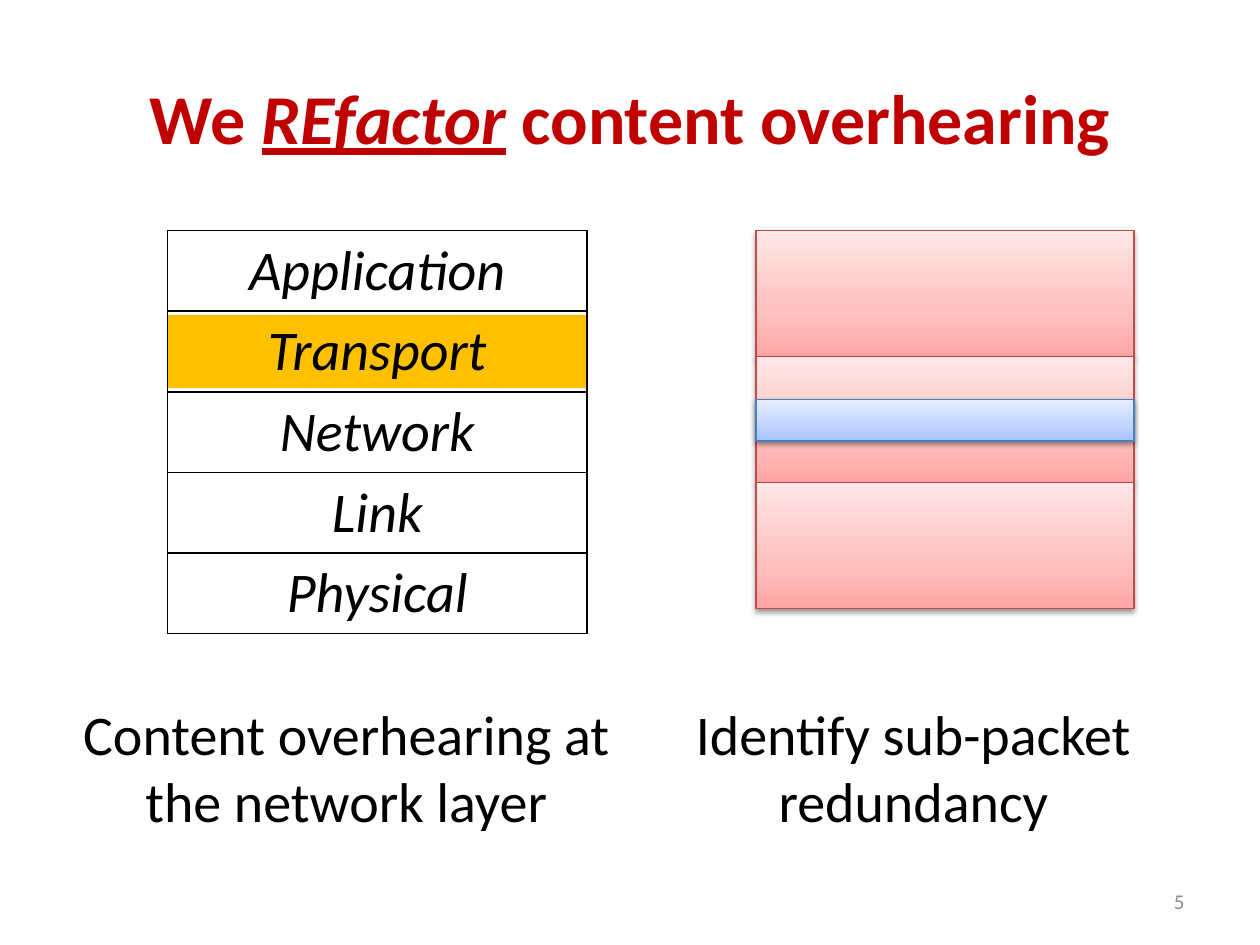
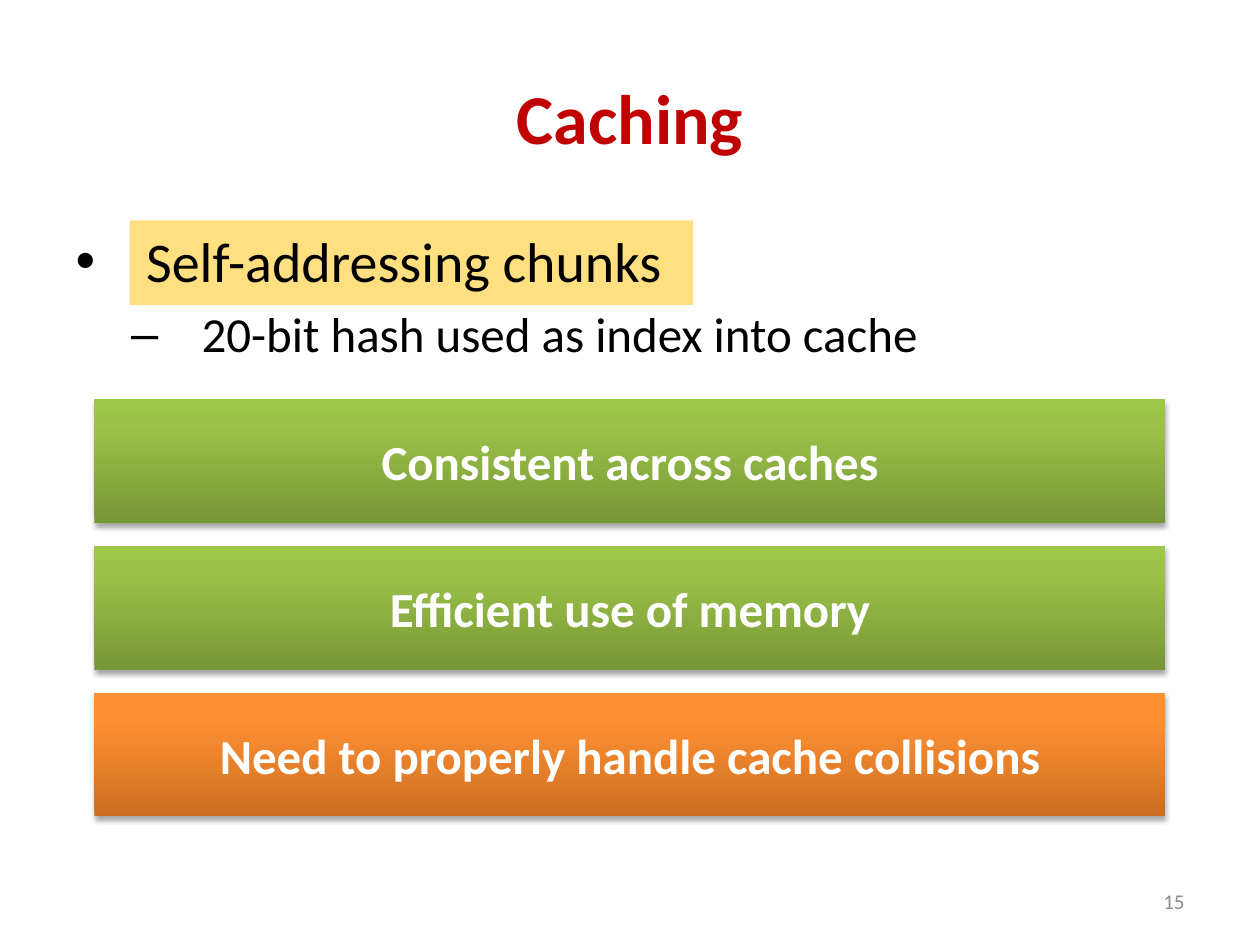
from lxml.etree import SubElement
from pptx import Presentation
from pptx.dml.color import RGBColor
from pptx.enum.shapes import MSO_SHAPE
from pptx.enum.text import MSO_ANCHOR, MSO_AUTO_SIZE, PP_ALIGN
from pptx.oxml.ns import qn
from pptx.util import Inches, Pt

# Shared style
FONT = "Calibri"
COLORS = {
    "title": "C00000", "text": "000000", "number": "8C8C8C",
    "white": "FFFFFF", "highlight": "FFC000",
    "red line": "BF4C48", "blue line": "4B7EBC",
}
GRADIENTS = {  # (position in percent, colour), from bottom to top
    "red": [(0, "FFA6A5"), (35, "FFC0BF"), (100, "FFE7E7")],
    "blue": [(0, "A4C4FF"), (35, "BFD4FF"), (100, "E6EEFF")],
    "green": [(0, "779737"), (80, "9BC348"), (100, "9DC746")],
    "orange": [(0, "CC6E20"), (80, "FF9034"), (100, "FF9136")],
}
TITLE_BOX = (0.5, 0.3, 9, 1.25)
NUMBER_BOX = (7.17, 6.95, 2.33, 0.4)
TITLE_AND_CONTENT, TWO_CONTENT = 1, 3

# Content: (text, emphasised) runs for titles
OVERHEARING_TITLE = [("We ", False), ("REfactor", True), (" content overhearing", False)]
LAYERS = ["Application", "Transport", "Network", "Link", "Physical"]
CAPTIONS = ["Content overhearing at the network layer", "Identify sub-packet redundancy"]
PACKET_COUNT = 3

CACHING_TITLE = [("Caching", False)]
CACHING_BULLETS = [  # text, level, size, left indent
    ("Self-addressing chunks", 0, 32, 0.56),
    ("20-bit hash used as index into cache", 1, 28, 1),
]
CACHING_BARS = [
    ("Consistent across caches", "green"),
    ("Efficient use of memory", "green"),
    ("Need to properly handle cache collisions", "orange"),
]


def rgb(name):
    return RGBColor.from_string(COLORS[name])


def set_font(paragraph, size, color="text", bold=None, italic=None):
    font = paragraph.font
    font.name, font.size, font.color.rgb = FONT, Pt(size), rgb(color)
    font.bold, font.italic = bold, italic


def place(shape, box):
    shape.left, shape.top, shape.width, shape.height = map(Inches, box)


def set_indent(paragraph, left, hanging):
    properties = paragraph._p.get_or_add_pPr()
    properties.set("marL", str(Inches(left)))
    properties.set("indent", str(-Inches(hanging)))
    return properties


def add_rectangle(slide, box):
    shape = slide.shapes.add_shape(MSO_SHAPE.RECTANGLE, *map(Inches, box))
    shape.shadow.inherit = False
    shape.line.fill.background()
    return shape


def add_highlight(slide, box, opacity=100):
    shape = add_rectangle(slide, box)
    shape.fill.solid()
    shape.fill.fore_color.rgb = rgb("highlight")
    if opacity < 100:
        color = shape._element.spPr.find(".//" + qn("a:srgbClr"))
        SubElement(color, qn("a:alpha"), val=str(opacity * 1000))
    return shape


def add_gradient_box(slide, box, gradient, shadow_opacity, shadow_distance):
    shape = add_rectangle(slide, box)
    shape.fill.gradient()
    shape.fill.gradient_angle = 90
    properties = shape._element.spPr
    stops = properties.find(".//" + qn("a:gsLst"))
    for stop in list(stops):
        stops.remove(stop)
    for position, color in GRADIENTS[gradient]:
        stop = SubElement(stops, qn("a:gs"), pos=str(position * 1000))
        SubElement(stop, qn("a:srgbClr"), val=color)
    # Soft shadow straight below
    shadow = SubElement(properties.find(qn("a:effectLst")), qn("a:outerShdw"),
                        blurRad=str(Pt(3.1)), dist=str(Pt(shadow_distance)),
                        dir="5400000", rotWithShape="0")
    color = SubElement(shadow, qn("a:srgbClr"), val=COLORS["text"])
    SubElement(color, qn("a:alpha"), val=str(shadow_opacity * 1000))
    return shape


def add_packet(slide, box, color):
    packet = add_gradient_box(slide, box, color, 38, 1.6)
    packet.line.color.rgb = rgb(color + " line")
    packet.line.width = Pt(0.75)


def add_base_slide(presentation, layout, title_runs, number):
    slide = presentation.slides.add_slide(presentation.slide_layouts[layout])
    # Title
    title = slide.shapes.title
    place(title, TITLE_BOX)
    title.text_frame.auto_size = MSO_AUTO_SIZE.NONE
    title.text_frame.vertical_anchor = MSO_ANCHOR.MIDDLE
    paragraph = title.text_frame.paragraphs[0]
    paragraph.alignment = PP_ALIGN.CENTER
    set_font(paragraph, 40, "title", bold=True)
    for text, emphasised in title_runs:
        run = paragraph.add_run()
        run.text = text
        if emphasised:
            run.font.italic = run.font.underline = True
    # Slide number
    box = slide.shapes.add_textbox(*map(Inches, NUMBER_BOX))
    box.text_frame.word_wrap = True
    box.text_frame.vertical_anchor = MSO_ANCHOR.MIDDLE
    paragraph = box.text_frame.paragraphs[0]
    paragraph.text = str(number)
    paragraph.alignment = PP_ALIGN.RIGHT
    set_font(paragraph, 12, "number")
    return slide


def add_layer_table(slide, left, top, width, row_height):
    frame = slide.shapes.add_table(len(LAYERS), 1, Inches(left), Inches(top),
                                   Inches(width), Inches(row_height * len(LAYERS)))
    table = frame.table
    table.first_row = table.horz_banding = False
    for row, layer in enumerate(LAYERS):
        cell = table.cell(row, 0)
        cell.text = layer
        paragraph = cell.text_frame.paragraphs[0]
        paragraph.alignment = PP_ALIGN.CENTER
        set_font(paragraph, 32, italic=True)
        properties = cell._tc.get_or_add_tcPr()
        for side in ("lnL", "lnR", "lnT", "lnB"):
            line = SubElement(properties, qn("a:" + side), w=str(Pt(1)))
            fill = SubElement(line, qn("a:solidFill"))
            SubElement(fill, qn("a:srgbClr"), val=COLORS["text"])
        cell.fill.background()


def build_overhearing(presentation):
    slide = add_base_slide(presentation, TWO_CONTENT, OVERHEARING_TITLE, 5)
    # Network layers with the transport row marked
    add_highlight(slide, (1.33, 2.5, 3.33, 0.58))
    add_layer_table(slide, 1.33, 1.83, 3.33, 0.64)
    # Captions
    for column, caption in enumerate(CAPTIONS):
        body = slide.placeholders[column + 1]
        place(body, (0.5 + 4.5 * column, 5.5, 4.5, 1.33))
        body.text_frame.auto_size = MSO_AUTO_SIZE.NONE
        paragraph = body.text_frame.paragraphs[0]
        paragraph.text = caption
        paragraph.alignment = PP_ALIGN.CENTER
        paragraph.space_before = Pt(0)
        SubElement(set_indent(paragraph, 0, 0), qn("a:buNone"))
        set_font(paragraph, 32)
    # Stacked packets with a redundant part inside the middle one
    for index in range(PACKET_COUNT):
        add_packet(slide, (6, 1.83 + index, 3, 1), "red")
    add_packet(slide, (6, 3.17, 3, 0.33), "blue")


def build_caching(presentation):
    slide = add_base_slide(presentation, TITLE_AND_CONTENT, CACHING_TITLE, 15)
    # Highlight behind the first bullet
    highlight = add_highlight(slide, (1.03, 1.75, 4.47, 0.67), opacity=50)
    slide.shapes._spTree.insert(2, highlight._element)
    # Bullets
    body = slide.placeholders[1]
    place(body, (0.5, 1.75, 9, 4.95))
    frame = body.text_frame
    frame.auto_size = MSO_AUTO_SIZE.NONE
    for index, (text, level, size, left) in enumerate(CACHING_BULLETS):
        paragraph = frame.add_paragraph() if index else frame.paragraphs[0]
        paragraph.text = text
        paragraph.level = level
        if index == 0:
            paragraph.space_before = Pt(0)
        properties = set_indent(paragraph, left, 0.56)
        SubElement(properties, qn("a:buChar"), char="•–"[level])
        set_font(paragraph, size)
    # Bars
    for index, (text, gradient) in enumerate(CACHING_BARS):
        box = (0.75, 3.17 + 1.165 * index, 8.5, 0.98)
        bar = add_gradient_box(slide, box, gradient, 35, 1.8)
        frame = bar.text_frame
        frame.word_wrap = True
        frame.vertical_anchor = MSO_ANCHOR.MIDDLE
        frame.margin_left = frame.margin_right = Inches(0.25)
        frame.margin_top = frame.margin_bottom = Inches(0.25)
        paragraph = frame.paragraphs[0]
        paragraph.text = text
        paragraph.alignment = PP_ALIGN.CENTER
        set_font(paragraph, 28, "white", bold=True)


def main():
    presentation = Presentation()
    presentation.slide_width, presentation.slide_height = Inches(10), Inches(7.5)
    build_overhearing(presentation)
    build_caching(presentation)
    presentation.save("out.pptx")


if __name__ == "__main__":
    main()
